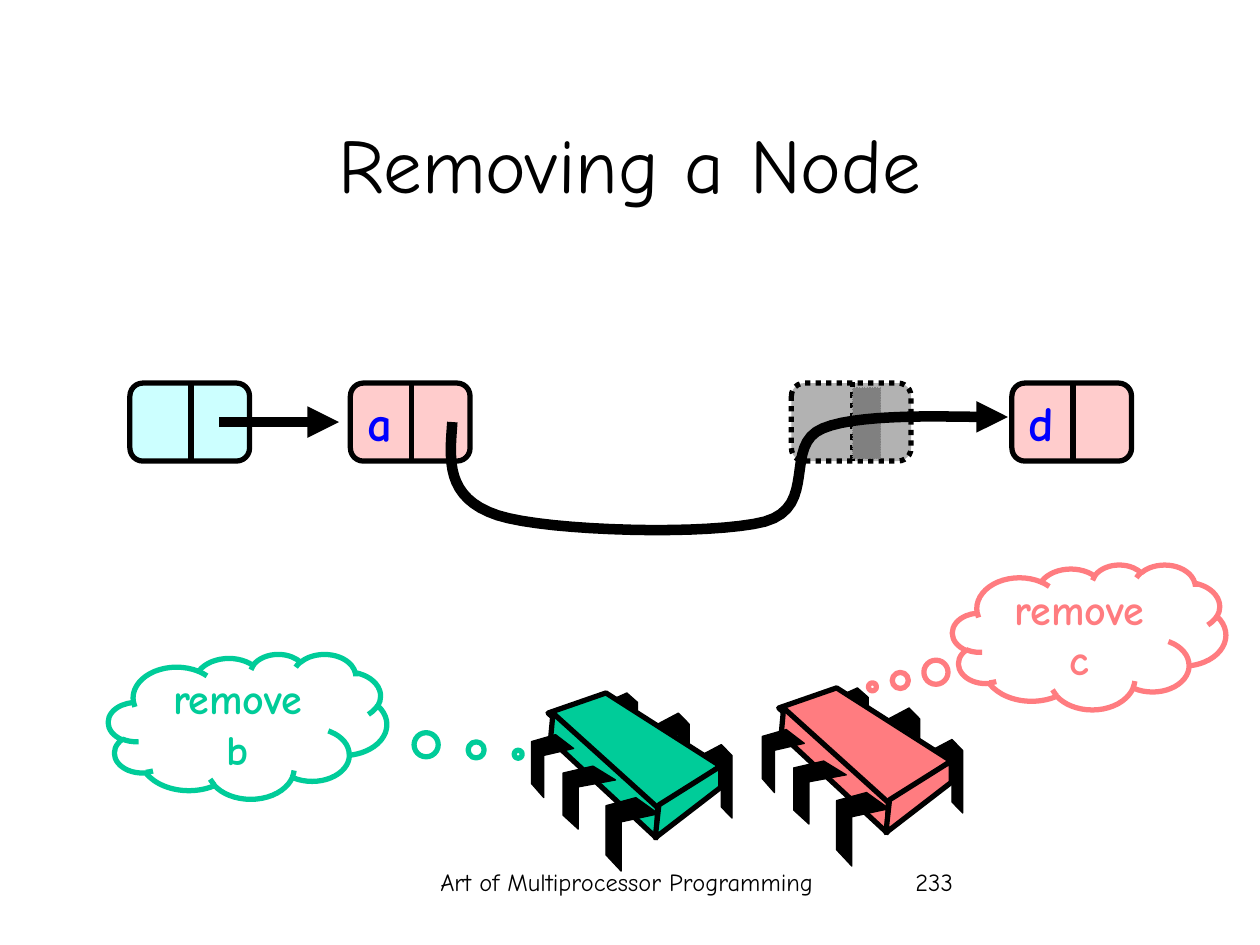
"""Build the "Removing a Node" slide about concurrent list removal."""
from dataclasses import dataclass
from typing import Any, Optional

import lxml.etree
import pptx
import pptx.dml.color
import pptx.enum.dml
import pptx.enum.shapes
import pptx.enum.text
import pptx.oxml.ns
import pptx.util

Pt = pptx.util.Pt
Preset = pptx.enum.shapes.MSO_SHAPE
Align = pptx.enum.text.PP_ALIGN
Anchor = pptx.enum.text.MSO_ANCHOR
Dash = pptx.enum.dml.MSO_LINE
Point = tuple[float, float]
Box = tuple[float, float, float, float]


@dataclass(frozen=True)
class Theme:
    font: str = "Comic Neue"
    ink: str = "000000"
    label: str = "0000FF"
    sentinel: str = "CCFFFF"
    node: str = "FFCCCC"
    removed: str = "B2B2B2"
    mark: str = "808080"
    green: str = "00CC99"
    red: str = "FF7C80"
    title_size: float = 44
    label_size: float = 28
    thought_size: float = 24
    footer_size: float = 14
    hairline: float = 0.75
    outline: float = 3
    arrow: float = 6


@dataclass(frozen=True)
class Node:
    slot: int
    fill: str
    label: str = ""
    dash: Optional[Any] = None


@dataclass(frozen=True)
class Worker:
    origin: Point
    color: str
    thought: str
    cloud: Box
    tail: Point


THEME = Theme()
NODE_LEFT, NODE_TOP, NODE_STEP = 74.2, 218.9, 126
NODE_WIDTH, NODE_HEIGHT, DIVIDER_OFFSET = 68.4, 44.6, 35

LIST_NODES = [Node(0, THEME.sentinel), Node(1, THEME.node, "a"), Node(4, THEME.node, "d")]
REMOVED_NODE = Node(3, THEME.removed, dash=Dash.ROUND_DOT)
WORKERS = [
    Worker((303.8, 396), THEME.green, "remove b", (61.9, 373.7, 159.1, 82.8), (0.972, 0.192)),
    Worker((435.6, 393.1), THEME.red, "remove c", (544.3, 322.6, 156.2, 82.8), (-0.793, 0.344)),
]

BACK_LEG = [(0, 0.15), (0.66, 0), (1, 0.15), (1, 1), (0.66, 0.85), (0.66, 0.29), (0, 0.43)]
FRONT_LEG = [(0.57, 0), (1, 0.22), (0.29, 0.33), (0.29, 1), (0, 0.78), (0, 0.11)]
BACK_LEG_BOXES = [(96.5, 29.5, 18, 42), (72, 11.5, 18, 42), (42.5, 0, 18, 36)]
FRONT_LEG_BOXES = [(42.5, 59.8, 30, 42), (18, 41.8, 30, 36), (0, 23.8, 24, 36)]
CHIP_FACES = [
    [(42.5, 0), (108, 41.8), (71.3, 67), (9.4, 11.5)],
    [(12.2, 11.5), (72, 65.5), (71.3, 82.8), (10.8, 26.6)],
    [(108, 41.8), (108, 54), (70.6, 82.8), (72.7, 64)],
]
BYPASS_START = (258.5, 241.2)
BYPASS_CURVES = [
    [(257, 262.8), (254.2, 284.4), (284.4, 294.5)],
    [(313.9, 303.8), (406.1, 306), (437, 298.1)],
    [(468, 289.4), (447.1, 254.2), (470.2, 244.8)],
    [(493.9, 234.7), (558.7, 239), (576, 238.3)],
]


def rgb(color: str) -> pptx.dml.color.RGBColor:
    return pptx.dml.color.RGBColor.from_string(color)


def write(frame: Any, text: str, *, size: float, color: str = THEME.ink, bold: bool = False,
          align: Any = Align.CENTER, anchor: Any = Anchor.TOP, wrap: bool = True) -> None:
    frame.word_wrap = wrap
    frame.vertical_anchor = anchor
    paragraph = frame.paragraphs[0]
    paragraph.alignment = align
    run = paragraph.add_run()
    run.text = text
    run.font.name, run.font.size, run.font.bold = THEME.font, Pt(size), bold
    run.font.color.rgb = rgb(color)


def add_text(slide: Any, box: Box, text: str, **text_format: Any) -> None:
    write(slide.shapes.add_textbox(*map(Pt, box)).text_frame, text, **text_format)


def stroke(drawn: Any, width: float, color: str = THEME.ink, dash: Optional[Any] = None,
           arrow: bool = False) -> None:
    drawn.line.width = Pt(width)
    drawn.line.color.rgb = rgb(color)
    if dash is not None:
        drawn.line.dash_style = dash
    if arrow:
        qn = pptx.oxml.ns.qn
        outline = drawn._element.spPr.find(qn("a:ln"))
        lxml.etree.SubElement(outline, qn("a:tailEnd"), type="triangle")


def paint(drawn: Any, fill: Optional[str]) -> None:
    drawn.shadow.inherit = False
    if fill is None:
        drawn.fill.background()
    else:
        drawn.fill.solid()
        drawn.fill.fore_color.rgb = rgb(fill)


def add_preset(slide: Any, preset: Any, box: Box, fill: Optional[str], width: float,
               **line_format: Any) -> Any:
    drawn = slide.shapes.add_shape(preset, *map(Pt, box))
    paint(drawn, fill)
    stroke(drawn, width, **line_format)
    return drawn


def add_outline(slide: Any, points: list[Point], fill: Optional[str], width: float,
                **line_format: Any) -> None:
    corners = [(Pt(x), Pt(y)) for x, y in points]
    builder = slide.shapes.build_freeform(*corners[0])
    builder.add_line_segments(corners[1:], close=fill is not None)
    drawn = builder.convert_to_shape()
    paint(drawn, fill)
    stroke(drawn, width, **line_format)


def add_line(slide: Any, start: Point, end: Point, width: float, **line_format: Any) -> None:
    straight = pptx.enum.shapes.MSO_CONNECTOR.STRAIGHT
    drawn = slide.shapes.add_connector(straight, *map(Pt, start + end))
    stroke(drawn, width, **line_format)
    lxml.etree.SubElement(drawn._element.spPr, pptx.oxml.ns.qn("a:effectLst"))


def add_node(slide: Any, node: Node) -> None:
    left = NODE_LEFT + NODE_STEP * node.slot
    divider = left + DIVIDER_OFFSET
    add_preset(slide, Preset.ROUNDED_RECTANGLE, (left, NODE_TOP, NODE_WIDTH, NODE_HEIGHT),
               node.fill, THEME.outline, dash=node.dash)
    add_line(slide, (divider, NODE_TOP - 0.7), (divider, NODE_TOP + NODE_HEIGHT + 0.7),
             THEME.outline, dash=node.dash)
    if node.label:
        add_text(slide, (left + 0.5, 221, 30.6, 41), node.label, size=THEME.label_size,
                 color=THEME.label, bold=True, align=Align.RIGHT, wrap=False)


def add_worker(slide: Any, worker: Worker) -> None:
    x0, y0 = worker.origin

    def add_legs(outline: list[Point], boxes: list[Box]) -> None:
        for x, y, w, h in boxes:
            points = [(x0 + x + w * u, y0 + y + h * v) for u, v in outline]
            add_outline(slide, points, THEME.ink, THEME.hairline)

    add_legs(BACK_LEG, BACK_LEG_BOXES)
    for face in CHIP_FACES:
        add_outline(slide, [(x0 + x, y0 + y) for x, y in face], worker.color, THEME.outline)
    add_legs(FRONT_LEG, FRONT_LEG_BOXES)
    cloud = add_preset(slide, Preset.CLOUD_CALLOUT, worker.cloud, None, THEME.outline,
                       color=worker.color)
    cloud.adjustments[0], cloud.adjustments[1] = worker.tail
    write(cloud.text_frame, worker.thought, size=THEME.thought_size, color=worker.color,
          bold=True, anchor=Anchor.MIDDLE)


def trace_curves(start: Point, curves: list[list[Point]], steps: int = 16) -> list[Point]:
    points = [start]
    for curve in curves:
        controls = [points[-1], *curve]
        for step in range(1, steps + 1):
            t = step / steps
            weights = ((1 - t) ** 3, 3 * t * (1 - t) ** 2, 3 * t * t * (1 - t), t ** 3)
            x, y = (sum(w * c[axis] for w, c in zip(weights, controls)) for axis in (0, 1))
            points.append((x, y))
    return points


def main() -> None:
    deck = pptx.Presentation()
    deck.slide_width, deck.slide_height = Pt(720), Pt(540)
    slide = deck.slides.add_slide(deck.slide_layouts[5])
    title = slide.shapes.title
    title.left, title.top, title.width, title.height = map(Pt, (54, 48, 612, 90))
    write(title.text_frame, "Removing a Node", size=THEME.title_size, anchor=Anchor.MIDDLE)
    add_text(slide, (223.2, 492, 270, 36), "Art of Multiprocessor Programming",
             size=THEME.footer_size)
    add_text(slide, (516, 492, 150, 36), "233", size=THEME.footer_size, align=Align.LEFT)
    for node in LIST_NODES:
        add_node(slide, node)
    add_line(slide, (125.3, 241.2), (193.7, 241.2), THEME.arrow, arrow=True)
    for worker in WORKERS:
        add_worker(slide, worker)
    add_node(slide, REMOVED_NODE)
    add_preset(slide, Preset.RECTANGLE, (487.4, 221.8, 15.8, 40.3), THEME.mark,
               THEME.hairline, color=THEME.mark, dash=Dash.ROUND_DOT)
    add_outline(slide, trace_curves(BYPASS_START, BYPASS_CURVES), None, THEME.arrow, arrow=True)
    deck.save("out.pptx")


if __name__ == "__main__":
    main()
